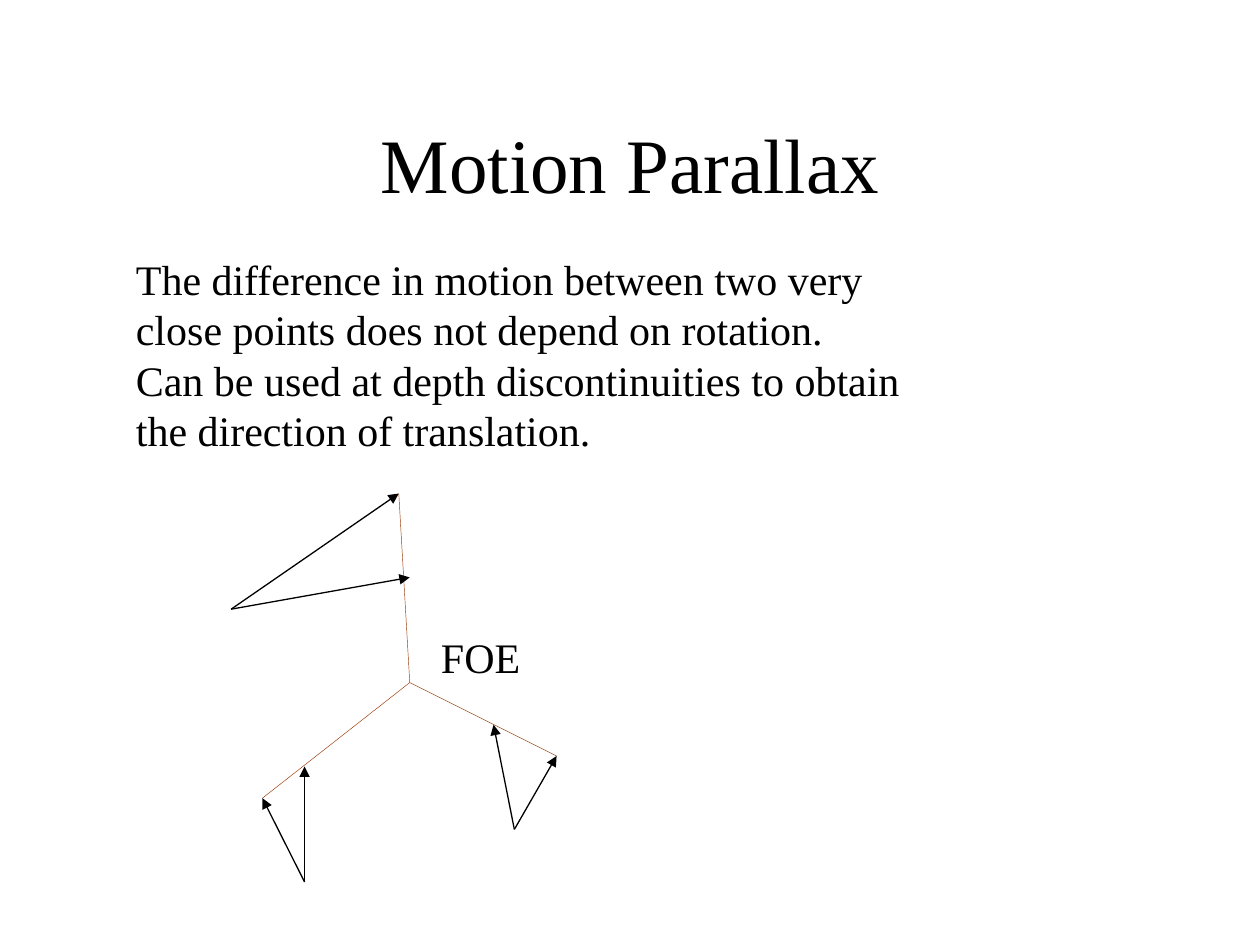
from lxml import etree
from pptx import Presentation
from pptx import util as u
from pptx.dml.color import RGBColor
from pptx.enum import shapes, text
from pptx.oxml.ns import qn

BLACK, RUST = "000000", "993300"


def colour(value):
    return RGBColor.from_string(value)


class Sketch:
    """Holds the text style and the page being drawn; lengths are in cm."""

    font = "Times New Roman"

    def __init__(self, page):
        self.page = page

    def add_text(self, lines, left, top, width, height, size=24,
                 align=text.PP_ALIGN.LEFT, anchor=text.MSO_ANCHOR.TOP,
                 wrap=False):
        box = self.page.shapes.add_textbox(
            u.Cm(left), u.Cm(top), u.Cm(width), u.Cm(height))
        frame = box.text_frame
        frame.word_wrap = wrap
        frame.vertical_anchor = anchor
        if not wrap:
            frame.auto_size = text.MSO_AUTO_SIZE.SHAPE_TO_FIT_TEXT
        for number, line in enumerate(lines):
            para = frame.add_paragraph() if number else frame.paragraphs[0]
            para.alignment = align
            span = para.add_run()
            span.text = line
            span.font.name = self.font
            span.font.size = u.Pt(size)
            span.font.color.rgb = colour(BLACK)

    def add_line(self, start, end, tint=RUST, weight=0.25):
        link = self.page.shapes.add_connector(
            shapes.MSO_CONNECTOR.STRAIGHT, *map(u.Cm, start + end))
        link.line.color.rgb = colour(tint)
        link.line.width = u.Pt(weight)
        etree.SubElement(link.element.spPr, qn("a:effectLst"))
        return link

    def add_arrow(self, start, end):
        link = self.add_line(start, end, BLACK, 0.75)
        outline = link.element.spPr.find(qn("a:ln"))
        etree.SubElement(outline, qn("a:tailEnd"), type="triangle")


def main():
    deck = Presentation()
    deck.slide_width, deck.slide_height = u.Cm(25.4), u.Cm(19.05)
    sketch = Sketch(deck.slides.add_slide(deck.slide_layouts[6]))

    sketch.add_text(["Motion Parallax"], 1.91, 1.69, 21.59, 3.18, size=44,
                    align=text.PP_ALIGN.CENTER, anchor=text.MSO_ANCHOR.MIDDLE,
                    wrap=True)
    sketch.add_text(["The difference in motion between two very",
                     "close points does not depend on rotation.",
                     "Can be used at depth discontinuities to obtain",
                     "the direction of translation."], 2.49, 4.98, 16.1, 4.32)

    # Each point has two motion vectors; the line through their tips meets the FOE.
    focus = (8.26, 13.76)
    motions = [
        # point, far tip, near tip
        ((4.66, 12.28), (8.04, 9.95), (8.26, 11.64)),
        ((6.14, 17.78), (5.29, 16.09), (6.14, 15.45)),
        ((10.37, 16.72), (11.22, 15.24), (9.95, 14.61)),
    ]
    for point, far, near in motions:
        sketch.add_line(focus, far)
        sketch.add_arrow(point, far)
        sketch.add_arrow(point, near)
    sketch.add_text(["FOE"], 8.64, 12.6, 2.11, 1.27)

    deck.save("out.pptx")


if __name__ == "__main__":
    main()
